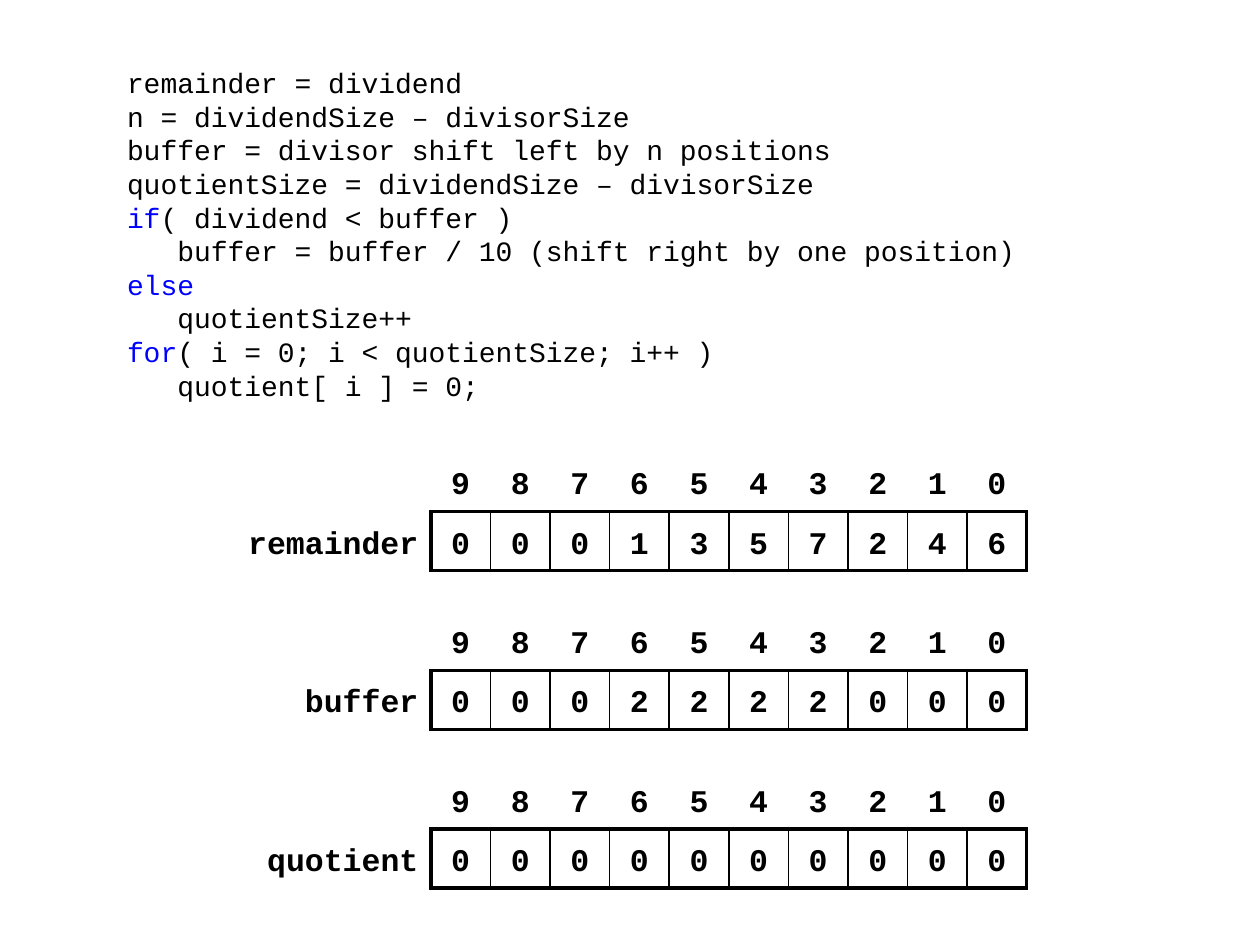
from dataclasses import dataclass

from lxml import etree
from pptx import Presentation
from pptx.dml.color import RGBColor
from pptx.enum.text import MSO_ANCHOR, PP_ALIGN
from pptx.oxml.ns import qn
from pptx.util import Inches, Pt

CENTER, RIGHT, LEFT = PP_ALIGN.CENTER, PP_ALIGN.RIGHT, PP_ALIGN.LEFT
MIDDLE = MSO_ANCHOR.MIDDLE


@dataclass(frozen=True)
class Theme:
    font: str = "Courier New"
    ink: str = "000000"
    keyword: str = "0000FF"
    code_size: float = 16
    code_pitch: float = 19.2
    digit_size: float = 18
    digit_spacing: float = 1.25
    thick: float = 2.25
    thin: float = 1
    plain_table: str = "{2D5ABB26-0587-4C30-8999-92F81FD0307C}"


THEME = Theme()
SLIDE_WIDTH, SLIDE_HEIGHT = Inches(10), Inches(7.5)
CODE_BOX = (0.91, 0.44, 8.19, 2.83)
INDENT = Inches(0.4)
TABLE_LEFT, TABLE_TOP, TABLE_PITCH = 1.85, 3.59, 1.26
LABEL_WIDTH, DIGITS_WIDTH, ROW_HEIGHT = 1.57, 4.73, 0.47

CODE = [
    (0, "", "remainder = dividend"),
    (0, "", "n = dividendSize – divisorSize"),
    (0, "", "buffer = divisor shift left by n positions"),
    (0, "", "quotientSize = dividendSize – divisorSize"),
    (0, "if", "( dividend < buffer )"),
    (1, "", "buffer = buffer / 10 (shift right by one position)"),
    (0, "else", ""),
    (1, "", "quotientSize++"),
    (0, "for", "( i = 0; i < quotientSize; i++ )"),
    (1, "", "quotient[ i ] = 0;"),
]
REGISTERS = {
    "remainder": "0001357246",
    "buffer": "0002222000",
    "quotient": "0000000000",
}


def apply(target, formats):
    for name, value in formats.items():
        setattr(target, name, value)


def add_run(paragraph, text, size, color, bold=False):
    run = paragraph.add_run()
    run.text = text
    apply(run.font, {"name": THEME.font, "size": Pt(size), "bold": bold})
    run.font.color.rgb = RGBColor.from_string(color)


def add_code(slide, lines):
    box = slide.shapes.add_textbox(*map(Inches, CODE_BOX))
    frame = box.text_frame
    apply(frame, {"word_wrap": True, "vertical_anchor": MIDDLE})
    for index, (level, keyword, rest) in enumerate(lines):
        paragraph = frame.add_paragraph() if index else frame.paragraphs[0]
        apply(paragraph, {"alignment": LEFT, "line_spacing": Pt(THEME.code_pitch)})
        properties = paragraph._p.get_or_add_pPr()
        properties.set("marL", str(level * INDENT))
        properties.set("indent", "0")
        for text, color in ((keyword, THEME.keyword), (rest, THEME.ink)):
            if text:
                add_run(paragraph, text, THEME.code_size, color)


def set_borders(cell, widths):
    properties = cell._tc.get_or_add_tcPr()
    for side in "LRTB":
        width = widths.get(side, 0)
        line = etree.SubElement(properties, qn(f"a:ln{side}"), w=str(Pt(width)))
        if width:
            fill = etree.SubElement(line, qn("a:solidFill"))
            etree.SubElement(fill, qn("a:srgbClr"), val=THEME.ink)
        else:
            etree.SubElement(line, qn("a:noFill"))


def fill_cell(cell, text, alignment, borders):
    set_borders(cell, borders)
    cell.fill.background()
    apply(cell, {
        "margin_left": Inches(0.1), "margin_right": Inches(0.1),
        "margin_top": Inches(0.04), "margin_bottom": Inches(0.04),
        "vertical_anchor": MIDDLE,
    })
    if text:
        paragraph = cell.text_frame.paragraphs[0]
        apply(paragraph, {"alignment": alignment, "line_spacing": THEME.digit_spacing})
        add_run(paragraph, text, THEME.digit_size, THEME.ink, bold=True)


def digit_borders(position, count):
    thick, thin = THEME.thick, THEME.thin
    return {
        "L": thick if position == 0 else thin,
        "R": thick if position == count - 1 else thin,
        "T": thick,
        "B": thick,
    }


def add_register(slide, top, label, digits):
    count = len(digits)
    frame = slide.shapes.add_table(
        2, count + 1, Inches(TABLE_LEFT), Inches(top),
        Inches(LABEL_WIDTH + DIGITS_WIDTH), Inches(2 * ROW_HEIGHT))
    table = frame.table
    apply(table, {"first_row": False, "horz_banding": False})
    table._tbl.tblPr.find(qn("a:tableStyleId")).text = THEME.plain_table
    for row in table.rows:
        row.height = Inches(ROW_HEIGHT)
    for index, column in enumerate(table.columns):
        column.width = Inches(DIGITS_WIDTH / count if index else LABEL_WIDTH)

    fill_cell(table.cell(0, 0), "", RIGHT, {})
    fill_cell(table.cell(1, 0), label, RIGHT, {"R": THEME.thick})
    for position, digit in enumerate(digits):
        column = position + 1
        borders = digit_borders(position, count)
        fill_cell(table.cell(0, column), str(count - column), CENTER, {"B": THEME.thick})
        fill_cell(table.cell(1, column), digit, CENTER, borders)


def main():
    presentation = Presentation()
    apply(presentation, {"slide_width": SLIDE_WIDTH, "slide_height": SLIDE_HEIGHT})
    slide = presentation.slides.add_slide(presentation.slide_layouts[6])
    add_code(slide, CODE)
    for index, (label, digits) in enumerate(REGISTERS.items()):
        add_register(slide, TABLE_TOP + index * TABLE_PITCH, label, digits)
    presentation.save("out.pptx")


main()
